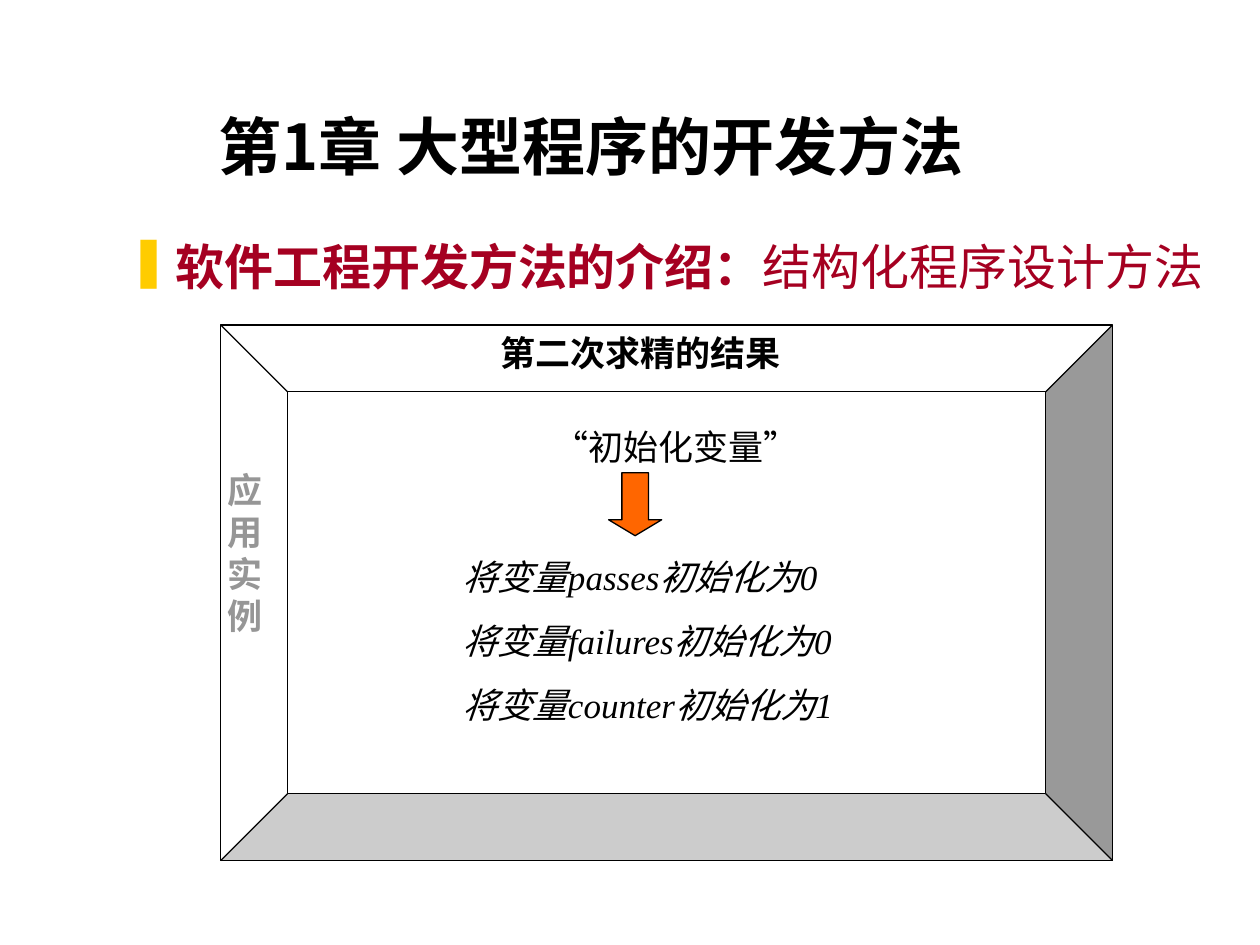
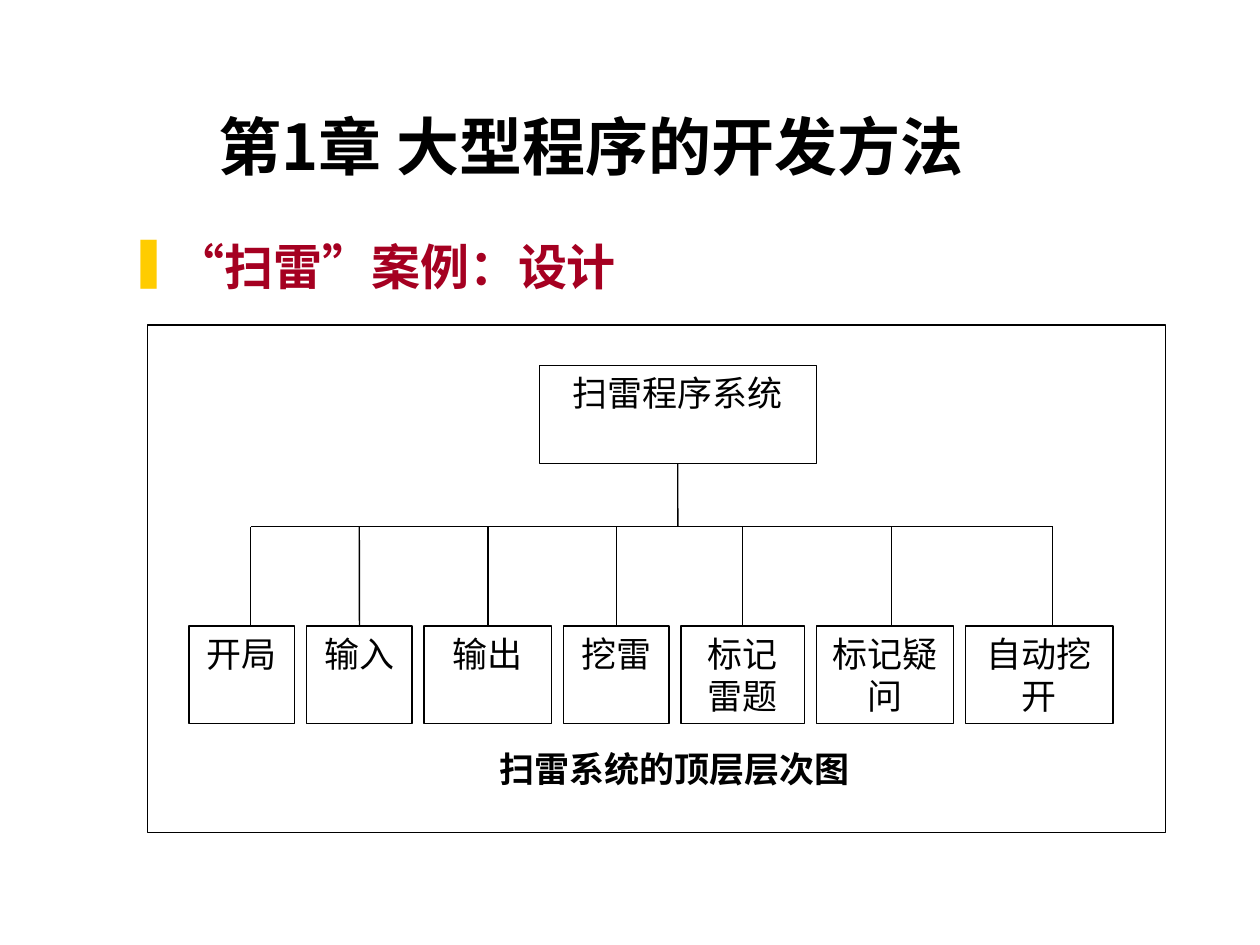
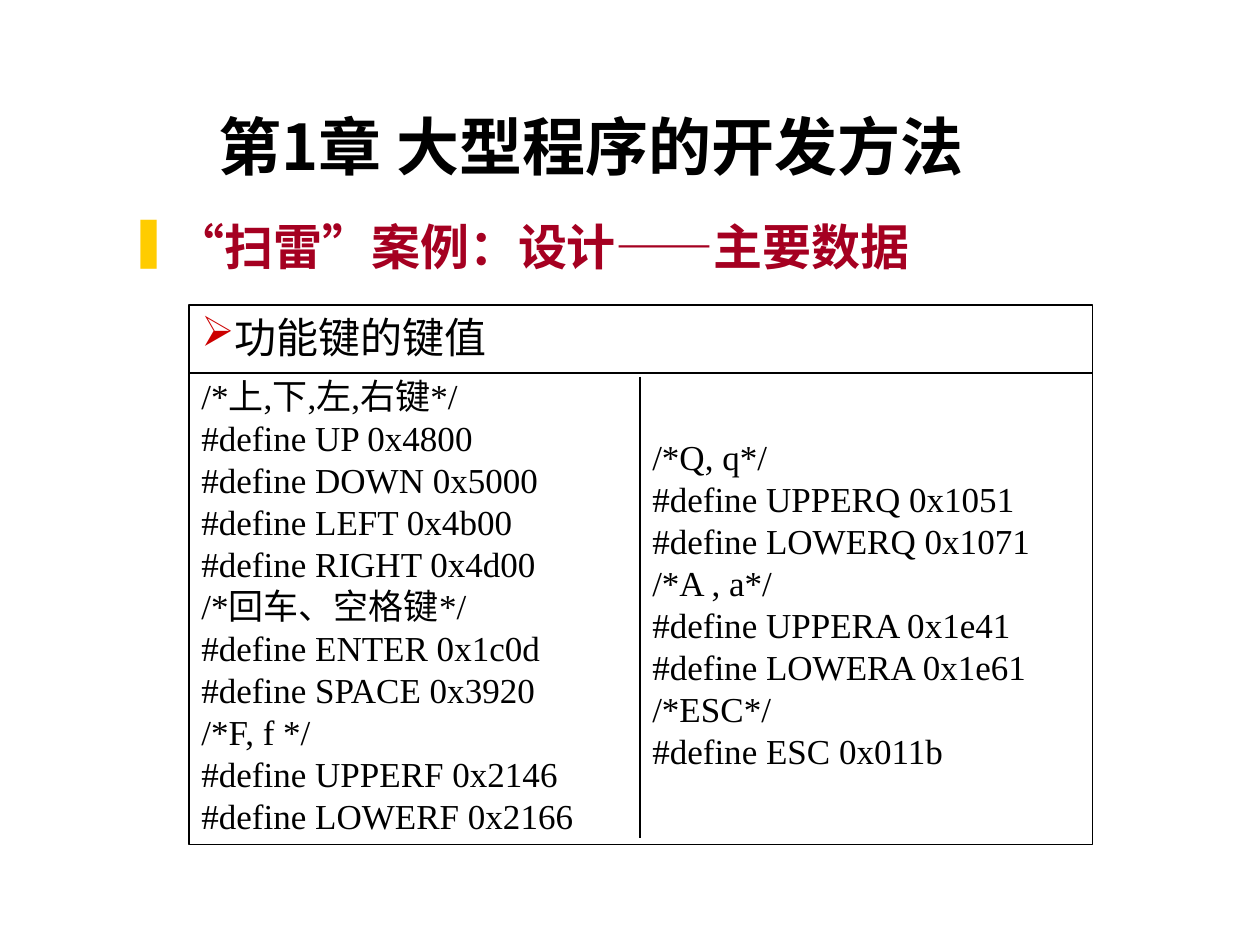
import pptx
import pptx.util
import pptx.dml.color
import pptx.enum.shapes
import pptx.enum.text
from lxml import etree
from pptx.oxml.ns import qn

Cm, Pt = pptx.util.Cm, pptx.util.Pt
SHAPE = pptx.enum.shapes.MSO_SHAPE
ALIGN = pptx.enum.text.PP_ALIGN
ANCHOR = pptx.enum.text.MSO_ANCHOR

# Shared look
LATIN, CJK = "Times New Roman", "Noto Sans CJK SC"
BLACK, WHITE, CRIMSON = "000000", "FFFFFF", "A50021"
GOLD, RED, GREY, ORANGE = "FFCC00", "CC0000", "969696", "FF6600"
BODY_SIZE = 20
LINE_FACTOR = 1.2

# Content
CHAPTER = "第1章 大型程序的开发方法"

REFINEMENT = {
    "heading": ("软件工程开发方法的介绍：", "结构化程序设计方法"),
    "caption": "第二次求精的结果",
    "side": "应用实例",
    "task": "“初始化变量”",
    "steps": ["将变量passes初始化为0", "将变量failures初始化为0", "将变量counter初始化为1"],
}

HIERARCHY = {
    "heading": ("“扫雷”案例：设计",),
    "root": "扫雷程序系统",
    "caption": "扫雷系统的顶层层次图",
    # name, width, distance of the stem from the middle of the box
    "modules": [
        ("开局", 2.13, 0.18), ("输入", 2.13, 0), ("输出", 2.57, 0), ("挖雷", 2.13, 0),
        ("标记雷题", 2.49, 0), ("标记疑问", 2.77, 0.12), ("自动挖开", 2.97, 0.27),
    ],
}

KEYS = {
    "heading": ("“扫雷”案例：设计——主要数据",),
    "title": "功能键的键值",
    "left": [
        "/*上,下,左,右键*/",
        "#define UP 0x4800",
        "#define DOWN 0x5000",
        "#define LEFT 0x4b00",
        "#define RIGHT 0x4d00",
        "/*回车、空格键*/",
        "#define ENTER 0x1c0d",
        "#define SPACE 0x3920",
        "/*F, f */",
        "#define UPPERF 0x2146",
        "#define LOWERF 0x2166",
    ],
    "right": [
        "/*Q, q*/",
        "#define UPPERQ 0x1051",
        "#define LOWERQ 0x1071",
        "/*A , a*/",
        "#define UPPERA 0x1e41",
        "#define LOWERA 0x1e61",
        "/*ESC*/",
        "#define ESC 0x011b",
    ],
}


def rgb(value):
    return pptx.dml.color.RGBColor.from_string(value)


# Text
def style_run(run, size=BODY_SIZE, color=BLACK, bold=False, italic=False, latin=LATIN):
    font = run.font
    font.size, font.bold, font.italic, font.name = Pt(size), bold, italic, latin
    font.color.rgb = rgb(color)
    etree.SubElement(run.font._element, qn("a:ea"), typeface=CJK)


def style_paragraph(paragraph, align=ALIGN.LEFT, before=0, left=0, hang=0, bullet=None,
                    size=BODY_SIZE, **look):
    properties = paragraph._p.get_or_add_pPr()
    properties.set("marL", str(Cm(left)))
    properties.set("indent", str(-Cm(hang)))
    if bullet:
        char, color = bullet
        bullet_color = etree.SubElement(properties, qn("a:buClr"))
        etree.SubElement(bullet_color, qn("a:srgbClr"), val=color)
        etree.SubElement(properties, qn("a:buChar"), char=char)
    paragraph.alignment = align
    paragraph.space_before = Pt(before)
    paragraph.line_spacing = Pt(size * LINE_FACTOR)
    for run in paragraph.runs:
        style_run(run, size, **look)


def write(shape, lines, anchor=ANCHOR.TOP, **look):
    frame = shape.text_frame
    frame.word_wrap = True
    frame.vertical_anchor = anchor
    frame.text = "\n".join(lines)
    for paragraph in frame.paragraphs:
        style_paragraph(paragraph, **look)
    return frame


def add_text(slide, place, lines, **look):
    return write(slide.shapes.add_textbox(*map(Cm, place)), lines, **look)


# Shapes
def add_outline(slide, kind, place, fill=None):
    shape = slide.shapes.add_shape(kind, *map(Cm, place))
    shape.shadow.inherit = False
    if fill:
        shape.fill.solid()
        shape.fill.fore_color.rgb = rgb(fill)
    else:
        shape.fill.background()
    shape.line.color.rgb = rgb(BLACK)
    shape.line.width = Pt(0.75)
    return shape


def add_rule(slide, x1, y1, x2, y2):
    rule = slide.shapes.add_connector(
        pptx.enum.shapes.MSO_CONNECTOR.STRAIGHT, *map(Cm, (x1, y1, x2, y2)))
    rule.line.color.rgb = rgb(BLACK)
    rule.line.width = Pt(0.75)
    etree.SubElement(rule._element.spPr, qn("a:effectLst"))
    return rule


def add_module(slide, place, name):
    module = add_outline(slide, SHAPE.RECTANGLE, place, WHITE)
    write(module, [name], align=ALIGN.CENTER)
    return module


def start_slide(deck, heading, heading_top=4.65):
    slide = deck.slides.add_slide(deck.slide_layouts[6])
    add_text(slide, (1.12, 0.64, 21.59, 3.18), [CHAPTER], anchor=ANCHOR.BOTTOM,
             align=ALIGN.CENTER, size=36, bold=True, latin=CJK)
    topic, *details = heading
    frame = add_text(slide, (2.34, heading_top, 22.43, 1.75), [topic], left=0.95, hang=0.95,
                     bullet=("❚", GOLD), size=28, color=CRIMSON, bold=True)
    for detail in details:
        run = frame.paragraphs[0].add_run()
        run.text = detail
        style_run(run, 28, CRIMSON, latin=CJK)
    return slide


# Slides
def build_refinement(deck):
    slide = start_slide(deck, REFINEMENT["heading"])
    bevel = add_outline(slide, SHAPE.BEVEL, (4.45, 6.55, 17.98, 10.8), WHITE)
    bevel.adjustments[0] = 0.125
    steps = add_text(slide, (8.26, 8.46, 9.73, 6.25),
                     [REFINEMENT["task"], *REFINEMENT["steps"]],
                     before=12.5, left=1.35, hang=0.53, italic=True)
    task, first_step = steps.paragraphs[:2]
    style_paragraph(task, left=2.64)
    first_step.space_before = Pt(50)
    add_text(slide, (4.34, 9.32, 1.07, 3.66), [REFINEMENT["side"]], color=GREY, bold=True)
    add_text(slide, (6.98, 6.55, 11.86, 1.12), [REFINEMENT["caption"]],
             align=ALIGN.CENTER, bold=True)
    arrow = add_outline(slide, SHAPE.DOWN_ARROW, (12.27, 9.53, 1.07, 1.27), ORANGE)
    arrow.adjustments[0], arrow.adjustments[1] = 0.5, 0.3


def build_hierarchy(deck):
    slide = start_slide(deck, HIERARCHY["heading"])
    add_outline(slide, SHAPE.RECTANGLE, (2.97, 6.55, 20.52, 10.24))
    root_left, root_top, root_width, root_height = 10.87, 7.37, 5.59, 1.98
    root = add_module(slide, (root_left, root_top, root_width, root_height), HIERARCHY["root"])
    bus, top, height, gap = 10.62, 12.62, 1.96, 0.24

    trunk_x = root_left + root_width / 2
    trunk = add_rule(slide, trunk_x, root_top + root_height, trunk_x, bus)
    trunk.begin_connect(root, 2)

    left, stems = 3.81, []
    for name, width, shift in HIERARCHY["modules"]:
        module = add_module(slide, (left, top, width, height), name)
        x = left + width / 2 + shift
        stem = add_rule(slide, x, bus, x, top)
        if not shift:
            stem.end_connect(module, 0)
        stems.append(x)
        left += width + gap
    add_rule(slide, stems[0], bus, stems[-1], bus)
    add_text(slide, (9.55, 14.94, 8.1, 1.98), [HIERARCHY["caption"]],
             align=ALIGN.CENTER, bold=True)


def build_keys(deck):
    slide = start_slide(deck, KEYS["heading"], heading_top=4.24)
    left, top, width, height = 3.81, 6.15, 18.21, 10.87
    middle, divider = 12.9, 7.52
    panel = add_outline(slide, SHAPE.RECTANGLE, (left, top, width, height))
    frame = write(panel, [KEYS["title"], *KEYS["left"]])
    title, first_key = frame.paragraphs[:2]
    title.runs[0].font._element.remove(title.runs[0].font._element.find(qn("a:ea")))
    style_paragraph(title, bullet=("➢", RED), size=24, latin=CJK)
    first_key.space_before = Pt(7.5)
    add_text(slide, (middle, 8.66, 8.89, 8.33), KEYS["right"])
    add_rule(slide, left, divider, left + width, divider)
    add_rule(slide, middle, 7.59, middle, 16.89)


def main():
    deck = pptx.Presentation()
    deck.slide_width, deck.slide_height = Cm(25.4), Cm(19.05)
    build_refinement(deck)
    build_hierarchy(deck)
    build_keys(deck)
    deck.save("out.pptx")


if __name__ == "__main__":
    main()
